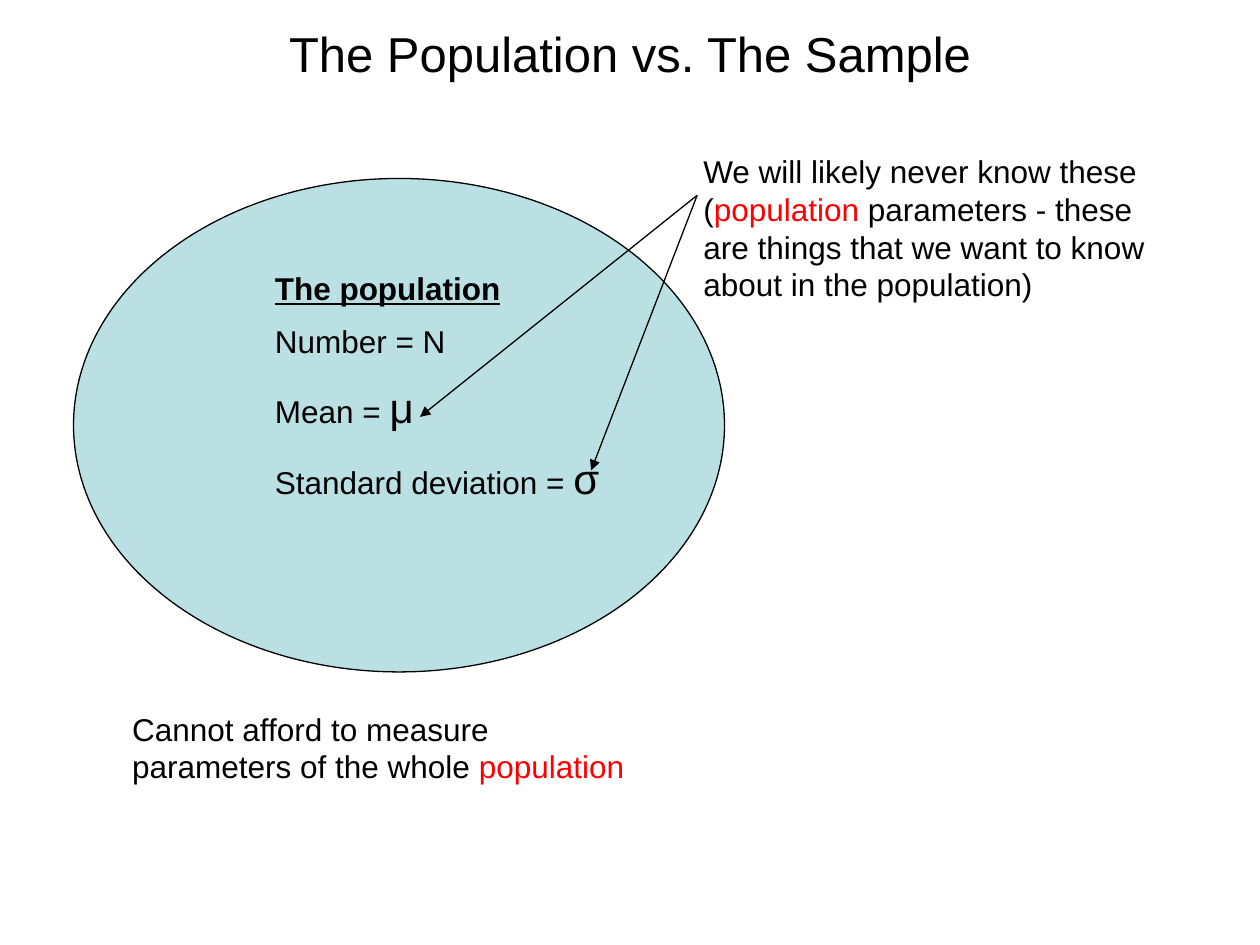
from lxml import etree
from pptx import Presentation
from pptx import util as u
from pptx.dml.color import RGBColor
from pptx.enum import shapes, text
from pptx.oxml.ns import qn

BLACK = RGBColor(0x00, 0x00, 0x00)
RED = RGBColor(0xFF, 0x00, 0x00)
TEAL = RGBColor(0xBB, 0xE0, 0xE3)

WIDE, HIGH = u.Inches(10), u.Inches(7.5)
COLS, ROWS = 120, 90

BODY = {"name": "Arial", "size": u.Pt(18)}
HEAD = {"bold": True, "underline": True}
GREEK = {"size": u.Pt(24)}
TITLE = {"size": u.Pt(28)}
KEY = {"color": RED}


def grid(*cells):
    """Turn column, row pairs into slide lengths."""
    units = (WIDE / COLS, HIGH / ROWS)
    return [round(cell * units[i % 2]) for i, cell in enumerate(cells)]


def style(font, form):
    form = {"color": BLACK, **BODY, **form}
    font.color.rgb = form.pop("color")
    for key, value in form.items():
        setattr(font, key, value)


def oval(slide, area):
    shape = slide.shapes.add_shape(shapes.MSO_SHAPE.OVAL, *grid(*area))
    shape.shadow.inherit = False
    shape.fill.solid()
    shape.fill.fore_color.rgb = TEAL
    shape.line.color.rgb = BLACK
    shape.line.width = u.Pt(0.75)


def label(slide, area, paras):
    """Add a text box; each paragraph is a list of (words, format) runs."""
    frame = slide.shapes.add_textbox(*grid(*area)).text_frame
    frame.word_wrap = True
    frame.auto_size = text.MSO_AUTO_SIZE.SHAPE_TO_FIT_TEXT
    for i, runs in enumerate(paras):
        para = frame.add_paragraph() if i else frame.paragraphs[0]
        for words, form in runs:
            run = para.add_run()
            run.text = words
            style(run.font, form)
        if i:
            para.space_before = max(run.font.size for run in para.runs) // 2
    return frame


def title(slide, area, words):
    frame = label(slide, area, [[(words, TITLE)]])
    frame.auto_size = text.MSO_AUTO_SIZE.NONE
    frame.vertical_anchor = text.MSO_ANCHOR.MIDDLE
    frame.paragraphs[0].alignment = text.PP_ALIGN.CENTER


def arrow(slide, start, end):
    line = slide.shapes.add_connector(
        shapes.MSO_CONNECTOR.STRAIGHT, *grid(*start, *end))
    line.line.color.rgb = BLACK
    line.line.width = u.Pt(0.75)
    props = line._element.spPr
    etree.SubElement(props.find(qn("a:ln")), qn("a:tailEnd"), type="triangle")
    etree.SubElement(props, qn("a:effectLst"))


def main():
    deck = Presentation()
    deck.slide_width, deck.slide_height = WIDE, HIGH
    slide = deck.slides.add_slide(deck.slide_layouts[6])

    oval(slide, (7, 17, 62, 47))
    label(slide, (25, 25, 37, 30), [
        [("The population", HEAD)],
        [("Number = N", {})],
        [("Mean = ", {}), ("μ", GREEK)],
        [("Standard deviation = ", {}), ("σ", GREEK)],
    ])
    title(slide, (0, 0, COLS, 10), "The Population vs. The Sample")
    label(slide, (11.4, 67, 51.2, 8.4), [[
        ("Cannot afford to measure parameters of the whole ", {}),
        ("population", KEY),
    ]])
    for end in ((40, 39.7), (56.3, 44.8)):
        arrow(slide, (66.4, 18.6), end)
    label(slide, (65.8, 13.9, 45.2, 15.6), [[
        ("We will likely never know these (", {}),
        ("population", KEY),
        (" parameters - these are things that we want to know"
         " about in the population)", {}),
    ]])
    deck.save("out.pptx")


if __name__ == "__main__":
    main()
